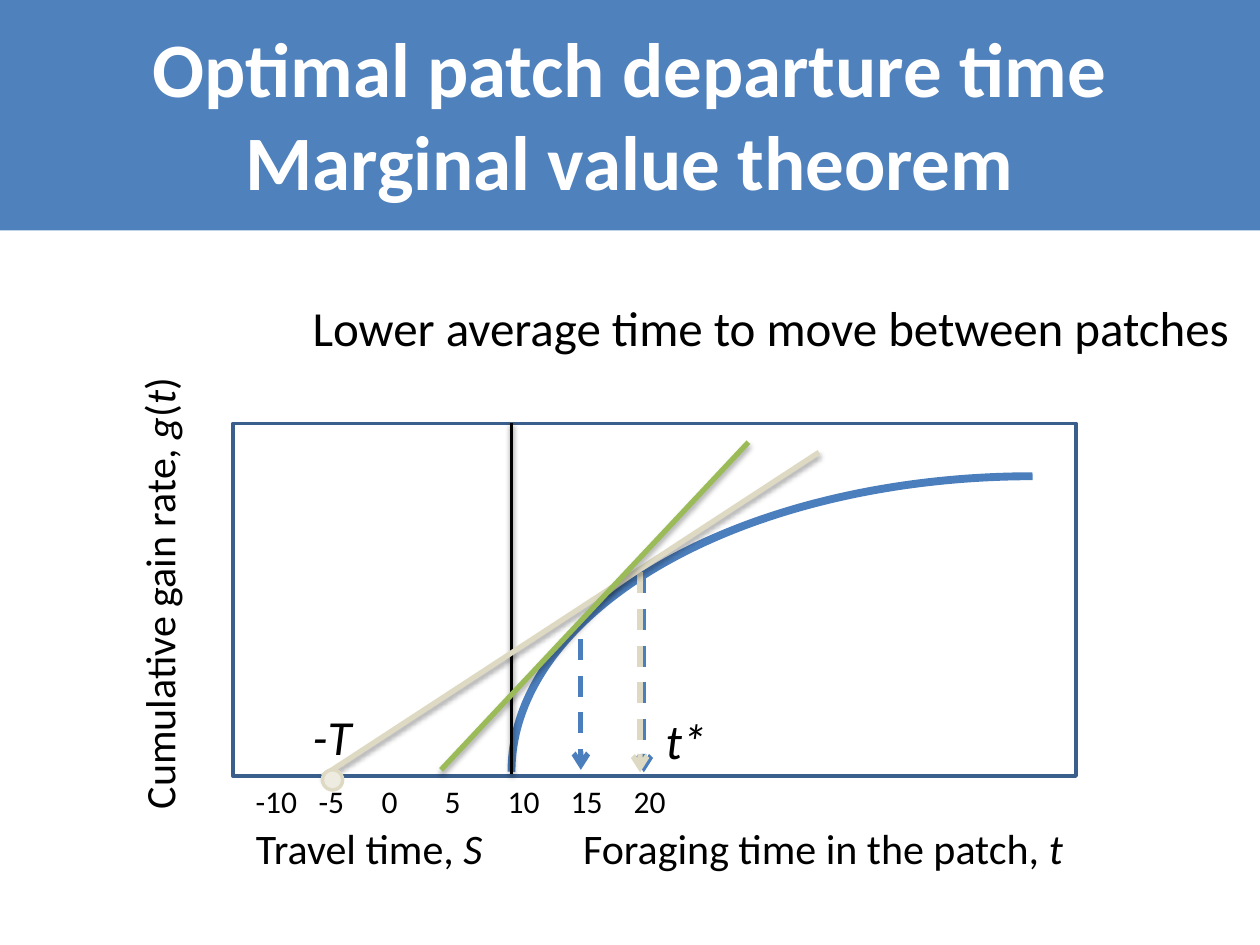
from pptx import Presentation
from pptx.dml.color import RGBColor
from pptx.enum.dml import MSO_LINE
from pptx.enum.shapes import MSO_CONNECTOR, MSO_SHAPE
from pptx.enum.text import MSO_ANCHOR, MSO_AUTO_SIZE, PP_ALIGN
from pptx.oxml.ns import qn
from pptx.util import Emu, Pt
from lxml.etree import SubElement

PX = 9144  # 100 px to the inch
FONT = "Calibri"
COLORS = {
    "banner": "4F81BD", "curve": "4B7EBC", "frame": "3A5F8C",
    "black": "000000", "white": "FFFFFF", "green": "9BBB59",
    "sand": "DDD9C3", "cream": "EEECE1",
}


def px(n):
    return Emu(n * PX)


def rgb(name):
    return RGBColor.from_string(COLORS[name])


def add_runs(p, runs, size, color, bold=False):
    """Each run is (text, italic)."""
    for text, italic in runs:
        r = p.add_run()
        r.text = text
        r.font.name, r.font.size = FONT, Pt(size)
        r.font.bold, r.font.italic = bold, italic
        r.font.color.rgb = rgb(color)


def add_label(s, box, runs, size, align=PP_ALIGN.LEFT, wrap=False, rotation=0):
    tb = s.shapes.add_textbox(*map(px, box))
    tb.rotation = rotation
    tf = tb.text_frame
    tf.word_wrap = wrap
    tf.auto_size = MSO_AUTO_SIZE.SHAPE_TO_FIT_TEXT
    p = tf.paragraphs[0]
    p.alignment = align
    add_runs(p, runs, size, "black")


def add_shape(s, kind, box, fill=None, line=None, width=2):
    sp = s.shapes.add_shape(kind, *map(px, box))
    sp.shadow.inherit = False
    if fill:
        sp.fill.solid()
        sp.fill.fore_color.rgb = rgb(fill)
    else:
        sp.fill.background()
    if line:
        sp.line.color.rgb = rgb(line)
        sp.line.width = Pt(width)
    else:
        sp.line.fill.background()
    return sp


def add_line(s, start, end, color, width=3, shadow_alpha=0, shadow_dist=1.8):
    cn = s.shapes.add_connector(MSO_CONNECTOR.STRAIGHT, *map(px, start + end))
    cn.line.color.rgb = rgb(color)
    cn.line.width = Pt(width)
    effects = SubElement(cn._element.spPr, qn("a:effectLst"))
    if shadow_alpha:
        shadow = SubElement(effects, qn("a:outerShdw"), blurRad=str(Pt(3.1)),
                            dist=str(Pt(shadow_dist)), dir="5400000",
                            rotWithShape="0")
        clr = SubElement(shadow, qn("a:srgbClr"), val=COLORS["black"])
        SubElement(clr, qn("a:alpha"), val=str(shadow_alpha * 1000))
    return cn


def add_drop_arrow(s, x, top, bottom, color):
    cn = add_line(s, (x, top), (x, bottom), color)
    cn.line.dash_style = MSO_LINE.DASH
    SubElement(cn.line._get_or_add_ln(), qn("a:tailEnd"), type="arrow")


def add_banner(s, box, lines):
    sp = add_shape(s, MSO_SHAPE.RECTANGLE, box, fill="banner")
    tf = sp.text_frame
    tf.word_wrap = True
    tf.vertical_anchor = MSO_ANCHOR.MIDDLE
    for i, text in enumerate(lines):
        p = tf.add_paragraph() if i else tf.paragraphs[0]
        p.alignment = PP_ALIGN.CENTER
        add_runs(p, [(text, False)], 44, "white", bold=True)


def main():
    prs = Presentation()
    prs.slide_width, prs.slide_height = px(1000), px(750)
    s = prs.slides.add_slide(prs.slide_layouts[6])

    # Gain curve: the upper left quarter of an ellipse
    arc = add_shape(s, MSO_SHAPE.ARC, (406, 378, 827, 469),
                    line="curve", width=4.5)
    arc.adjustments[0], arc.adjustments[1] = 108, 162  # 180 to 270 degrees

    # Plot frame, tick labels and vertical axis
    add_shape(s, MSO_SHAPE.RECTANGLE, (185, 336, 669, 280), line="frame")
    add_label(s, (193, 616, 652, 40), [("-10\t-5\t0 \t5\t10\t15\t20", False)], 18)
    add_line(s, (406, 336), (406, 614), "black", 2, 38, 1.6)

    add_label(s, (205, 231, 780, 57),
              [("Lower average time to move between patches", False)], 28,
              PP_ALIGN.RIGHT, wrap=True)

    # Departure times
    add_drop_arrow(s, 511, 454, 613, "curve")
    add_label(s, (238, 556, 51, 57), [("-T", True)], 28, PP_ALIGN.CENTER)
    add_label(s, (518, 559, 53, 57), [("t*", True)], 28, PP_ALIGN.CENTER)
    add_drop_arrow(s, 461, 507, 611, "curve")
    add_drop_arrow(s, 508, 454, 613, "sand")

    # Tangents and the travel time point
    add_line(s, (256, 616), (650, 359), "sand", shadow_alpha=35)
    add_shape(s, MSO_SHAPE.OVAL, (256, 611, 16, 16), "cream", "sand")
    add_line(s, (350, 611), (594, 351), "green", shadow_alpha=35)

    # Title
    add_banner(s, (0, -3, 1000, 186),
               ["Optimal patch departure time", "Marginal value theorem"])

    # Axis titles
    add_label(s, (-57, 444, 366, 50),
              [("Cumulative gain rate, ", False), ("g", True), ("(", False),
               ("t", True), (")", False)], 24, rotation=270)
    add_label(s, (453, 648, 404, 50),
              [("Foraging time in the patch, ", False), ("t", True)], 24)
    add_label(s, (192, 648, 202, 50),
              [("Travel time, ", False), ("S", True)], 24, PP_ALIGN.CENTER)

    prs.save("out.pptx")


if __name__ == "__main__":
    main()
